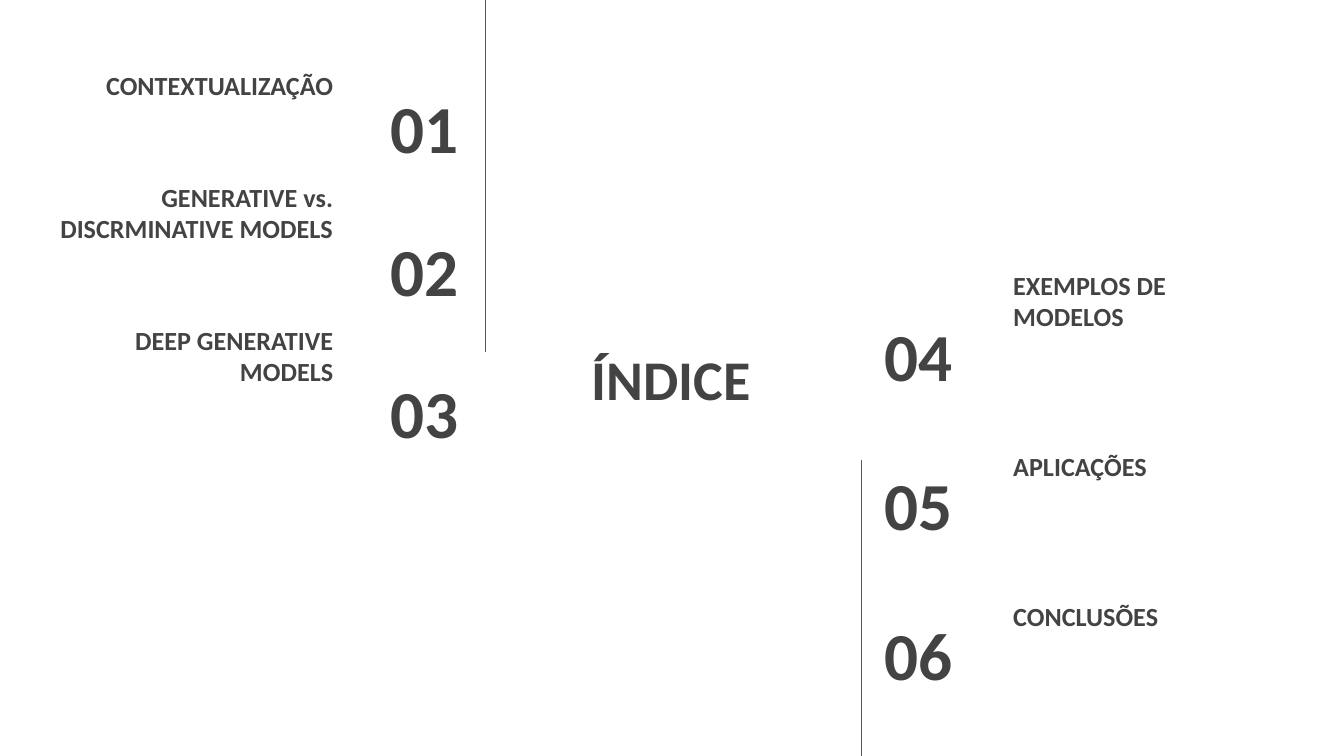
import pptx
import pptx.dml.color
import pptx.enum.shapes
import pptx.enum.text
import pptx.oxml
import pptx.util
from pptx.enum.text import MSO_ANCHOR, PP_ALIGN
from pptx.util import Cm

COLORS = {"background": "FFFFFF", "text": "434343", "line": "595959"}
SLIDE_WIDTH, SLIDE_HEIGHT = 25.4, 14.29
ROW_HEIGHT = 1.6


def color(name):
    """Return the named colour as an RGB value."""
    return pptx.dml.color.RGBColor.from_string(COLORS[name])


def add_text(slide, box, text, size, align, anchor):
    """Place bold text in a box of left, top, width and height in cm."""
    shape = slide.shapes.add_textbox(*map(Cm, box))
    frame = shape.text_frame
    frame.word_wrap = True
    frame.vertical_anchor = anchor
    frame.margin_left = frame.margin_right = Cm(0.25)
    frame.margin_top = frame.margin_bottom = Cm(0.25)
    paragraph = frame.paragraphs[0]
    paragraph.text = text
    paragraph.alignment = align
    paragraph.font.name = "Calibri"
    paragraph.font.size = pptx.util.Pt(size)
    paragraph.font.bold = True
    paragraph.font.color.rgb = color("text")


def add_divider(slide, x, top, bottom):
    """Draw a thin vertical line."""
    line = slide.shapes.add_connector(
        pptx.enum.shapes.MSO_CONNECTOR.STRAIGHT, Cm(x), Cm(top), Cm(x), Cm(bottom)
    )
    line.line.color.rgb = color("line")
    line.line.width = pptx.util.Pt(0.75)
    line._element.spPr.append(pptx.oxml.parse_xml(
        '<a:effectLst xmlns:a="http://schemas.openxmlformats.org/drawingml/2006/main"/>'
    ))


def add_entries(slide, box, entries, align, number_gap, number_width, number_drop):
    """Stack numbered entries in a box, reading outwards from its inner edge."""
    left, top, width, height = box
    pitch = (height - number_drop - ROW_HEIGHT) / (len(entries) - 1)

    def place(gap, part_width, part_top):
        """Return a part's box at a gap from the inner edge."""
        if align == PP_ALIGN.RIGHT:
            part_left = left + width - gap - part_width
        else:
            part_left = left + gap
        return part_left, part_top, part_width, ROW_HEIGHT

    for row, (number, label, label_width) in enumerate(entries):
        row_top = top + row * pitch
        add_text(slide, place(number_gap, number_width, row_top + number_drop),
                 number, 36, align, MSO_ANCHOR.MIDDLE)
        add_text(slide, place(2.62, label_width, row_top),
                 label, 14, align, MSO_ANCHOR.BOTTOM)


def build_index(presentation):
    """Build the index slide with its title and two columns of entries."""
    slide = presentation.slides.add_slide(presentation.slide_layouts[6])
    slide.background.fill.solid()
    slide.background.fill.fore_color.rgb = color("background")
    add_text(slide, (9.4, 5.84, 6.58, 2.62), "ÍNDICE", 30,
             PP_ALIGN.CENTER, MSO_ANCHOR.MIDDLE)
    add_entries(slide, (0.13, 0.56, 9.04, 8.03), [
        ("01", "CONTEXTUALIZAÇÃO", 5.49),
        ("02", "GENERATIVE vs. DISCRMINATIVE MODELS", 6.43),
        ("03", "DEEP GENERATIVE MODELS", 5.49),
    ], PP_ALIGN.RIGHT, 0.25, 3.07, 1.03)
    add_entries(slide, (16.28, 4.93, 8.13, 8.23), [
        ("04", "EXEMPLOS DE MODELOS", 5.49),
        ("05", "APLICAÇÕES", 5.49),
        ("06", "CONCLUSÕES", 5.49),
    ], PP_ALIGN.LEFT, 0.18, 2.97, 0.97)
    add_divider(slide, 9.17, 0, 6.65)
    add_divider(slide, 16.28, 8.69, SLIDE_HEIGHT)


def main():
    """Create and save the presentation."""
    presentation = pptx.Presentation()
    presentation.slide_width = Cm(SLIDE_WIDTH)
    presentation.slide_height = Cm(SLIDE_HEIGHT)
    build_index(presentation)
    presentation.save("out.pptx")


if __name__ == "__main__":
    main()
